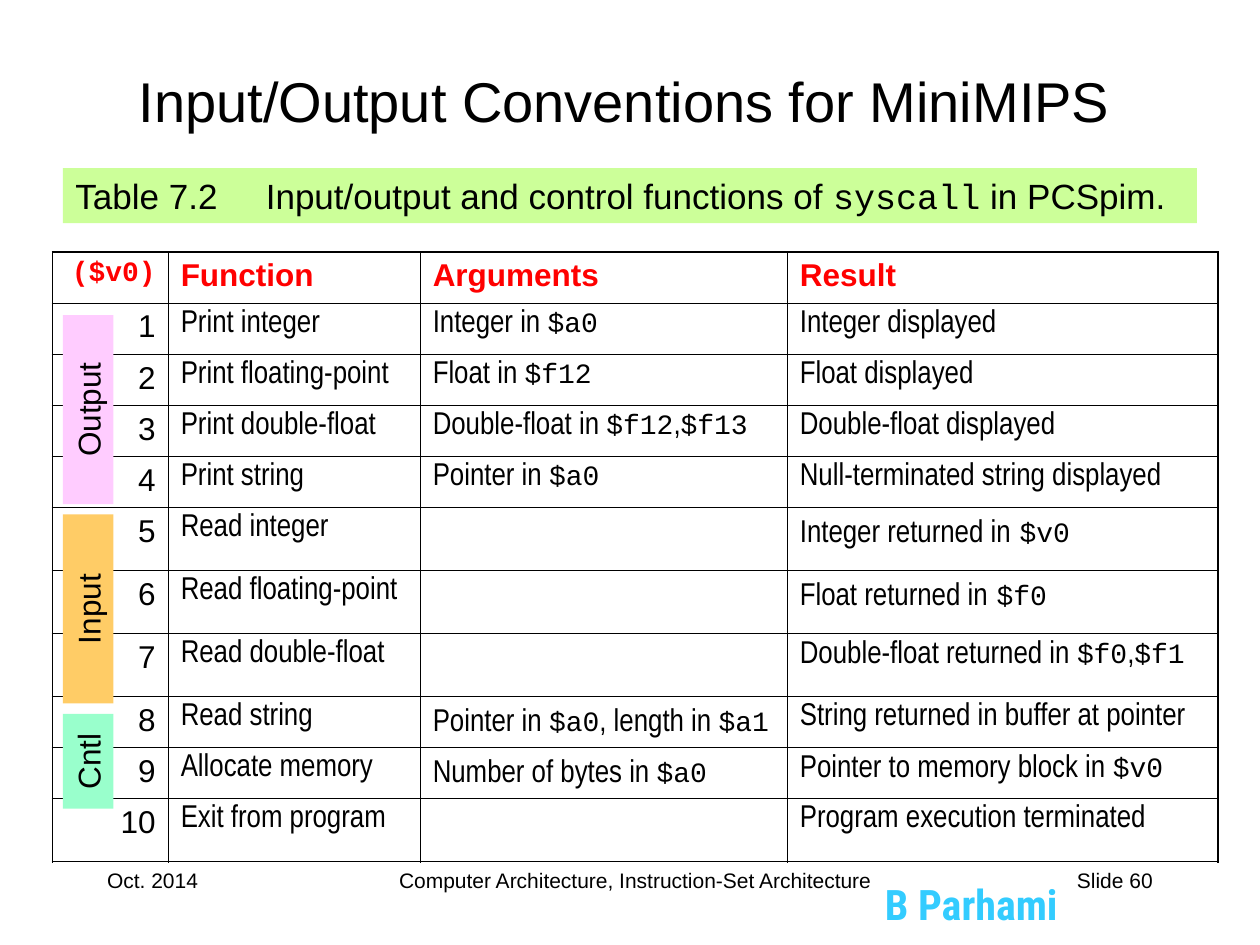
from lxml.etree import SubElement
from pptx import Presentation
from pptx.dml.color import RGBColor as Rgb
from pptx.enum.shapes import MSO_SHAPE as Shape
from pptx.enum.text import MSO_ANCHOR as Anchor, PP_ALIGN as Align
from pptx.oxml.ns import qn
from pptx.util import Cm, Pt

COLORS = {
    "text": "000000", "heading": "FF0000", "author": "33CCFF",
    "caption": "CCFF99", "output": "FFCCFF", "input": "FFCC66",
    "control": "99FFCC",
}
SANS, NARROW, MONO = "Arial", "Arial Narrow", "Courier New"
PLAIN = {"name": SANS, "size": Pt(18), "bold": False}
BODY = {**PLAIN, "name": NARROW}
CODE = {"name": MONO, "size": Pt(16), "bold": False}
HEADING = {**PLAIN, "bold": True}

COLUMNS = (2.33, 5.08, 7.4, 8.68)
ROW_HEIGHT, TALL_HEIGHT = 1.03, 1.27
HEADINGS = ("($v0)", "Function", "Arguments", "Result")
# "|" separates spans: those with "$" are code, a lone space is set in Arial.
CALLS = (
    ("Print integer", "Integer in |$a0", "Integer displayed"),
    ("Print floating-point", "Float in |$f12", "Float displayed"),
    ("Print double-float", "Double-float in |$f12|,|$f13", "Double-float displayed"),
    ("Print string", "Pointer in |$a0", "Null-terminated string displayed"),
    ("Read integer", "", "Integer returned in| |$v0"),
    ("Read floating-point", "", "Float returned in| |$f0"),
    ("Read double-float", "", "Double-float returned in |$f0|,|$f1"),
    ("Read string", "Pointer in |$a0|, length in |$a1| ",
     "String returned in buffer at pointer"),
    ("Allocate memory", "Number of bytes in |$a0| ",
     "Pointer to memory block in |$v0"),
    ("Exit from program", "", "Program execution terminated"),
)
GROUPS = (("Output", 3.81, "output"), ("Input", 3.81, "input"),
          ("Cntl", 1.91, "control"))


def add_span(para, text, style, color="text"):
    span = para.add_run()
    span.text = text
    for name, value in style.items():
        setattr(span.font, name, value)
    span.font.color.rgb = Rgb.from_string(COLORS[color])


def add_text(page, box, text, style, align=Align.LEFT, color="text"):
    frame = page.shapes.add_textbox(*map(Cm, box)).text_frame
    frame.word_wrap = True
    para = frame.paragraphs[0]
    para.alignment = align
    add_span(para, text, style, color)
    return frame


def add_panel(page, box, color):
    """Add a filled rectangle and return it with its empty paragraph."""
    panel = page.shapes.add_shape(Shape.RECTANGLE, *map(Cm, box))
    panel.shadow.inherit = False
    panel.fill.solid()
    panel.fill.fore_color.rgb = Rgb.from_string(COLORS[color])
    panel.line.fill.background()
    panel.text_frame.vertical_anchor = Anchor.TOP
    return panel, panel.text_frame.paragraphs[0]


def add_title(page, box):
    frame = add_text(page, box, "Input/Output Conventions for MiniMIPS",
                     {**PLAIN, "size": Pt(32)}, Align.CENTER)
    frame.vertical_anchor = Anchor.MIDDLE


def add_caption(page, box):
    para = add_panel(page, box, "caption")[1]
    para.alignment = Align.LEFT
    tabs = SubElement(para._p.get_or_add_pPr(), qn("a:tabLst"))
    SubElement(tabs, qn("a:tab"), pos=str(Cm(3.84)), algn="l")
    for text, font in (
        ("Table 7.2\tInput/output and control functions of ", SANS),
        ("syscall", MONO),
        (" in PCSpim.", SANS),
    ):
        add_span(para, text, {"name": font, "size": Pt(20)})


def set_borders(cell, outer):
    """Draw the four cell edges, heavier on the sides named in outer."""
    properties = cell._tc.get_or_add_tcPr()
    for side in "LRTB":
        width = Pt(1.08 if side in outer else 0.45)
        line = SubElement(properties, qn(f"a:ln{side}"), w=str(width))
        fill = SubElement(line, qn("a:solidFill"))
        SubElement(fill, qn("a:srgbClr"), val=COLORS["text"])


def fill_cell(para, row, column, text):
    if column == 0:
        para.alignment = Align.RIGHT
    if row == 0:
        style = {**CODE, "bold": True} if column == 0 else HEADING
        add_span(para, text, style, "heading")
    elif column == 0:
        add_span(para, text, PLAIN)
    elif text:
        for piece in text.split("|"):
            style = CODE if "$" in piece else PLAIN if piece == " " else BODY
            add_span(para, piece, style)


def add_call_table(page, left, top):
    rows = [HEADINGS] + [(str(code), *call) for code, call in enumerate(CALLS, 1)]
    heights = [ROW_HEIGHT if all(row) else TALL_HEIGHT for row in rows]
    table = page.shapes.add_table(
        len(rows), len(COLUMNS), Cm(left), Cm(top),
        Cm(sum(COLUMNS)), Cm(sum(heights))).table
    table.first_row = table.horz_banding = False
    for column, width in zip(table.columns, COLUMNS):
        column.width = Cm(width)
    for row, height in zip(table.rows, heights):
        row.height = Cm(height)
    last_row, last_column = len(rows) - 1, len(COLUMNS) - 1
    for r, row in enumerate(rows):
        for c, text in enumerate(row):
            cell = table.cell(r, c)
            edges = {"T": r == 0, "B": r == last_row,
                     "L": c == 0, "R": c == last_column}
            set_borders(cell, [side for side, outer in edges.items() if outer])
            cell.fill.background()
            fill_cell(cell.text_frame.paragraphs[0], r, c, text)


def add_group_labels(page, left, top, width, gap):
    """Stack the upright labels that group the table rows."""
    for text, height, color in GROUPS:
        shift = (height - width) / 2
        box = (left - shift, top + shift, height, width)
        panel, para = add_panel(page, box, color)
        panel.rotation = 270
        para.alignment = Align.CENTER
        add_span(para, text, PLAIN)
        top += height + gap


def add_footer(page, left, top):
    small = {**PLAIN, "size": Pt(12)}
    for offset, width, text, align in (
        (0, 5.29, "Oct. 2014", Align.LEFT),
        (4.23, 13.34, "Computer Architecture, Instruction-Set Architecture",
         Align.CENTER),
        (16.29, 5.29, "Slide 60", Align.RIGHT),
    ):
        add_text(page, (left + offset, top, width, 1.27), text, small, align)
    author = {"name": "Roboto Condensed", "size": Pt(24), "bold": True}
    add_text(page, (left + 15.13, top + 0.23, 5.08, 1.07), "B Parhami", author,
             Align.CENTER, "author")


def main():
    deck = Presentation()
    deck.slide_width, deck.slide_height = Cm(25.4), Cm(19.05)
    page = deck.slides.add_slide(deck.slide_layouts[6])
    add_footer(page, 1.91, 17.36)
    add_title(page, (1.06, 1.06, 23.07, 1.91))
    add_caption(page, (1.27, 3.39, 22.86, 1.11))
    add_call_table(page, 1.06, 5.08)
    add_group_labels(page, 1.27, 6.35, 1.02, 0.21)
    deck.save("out.pptx")


if __name__ == "__main__":
    main()
